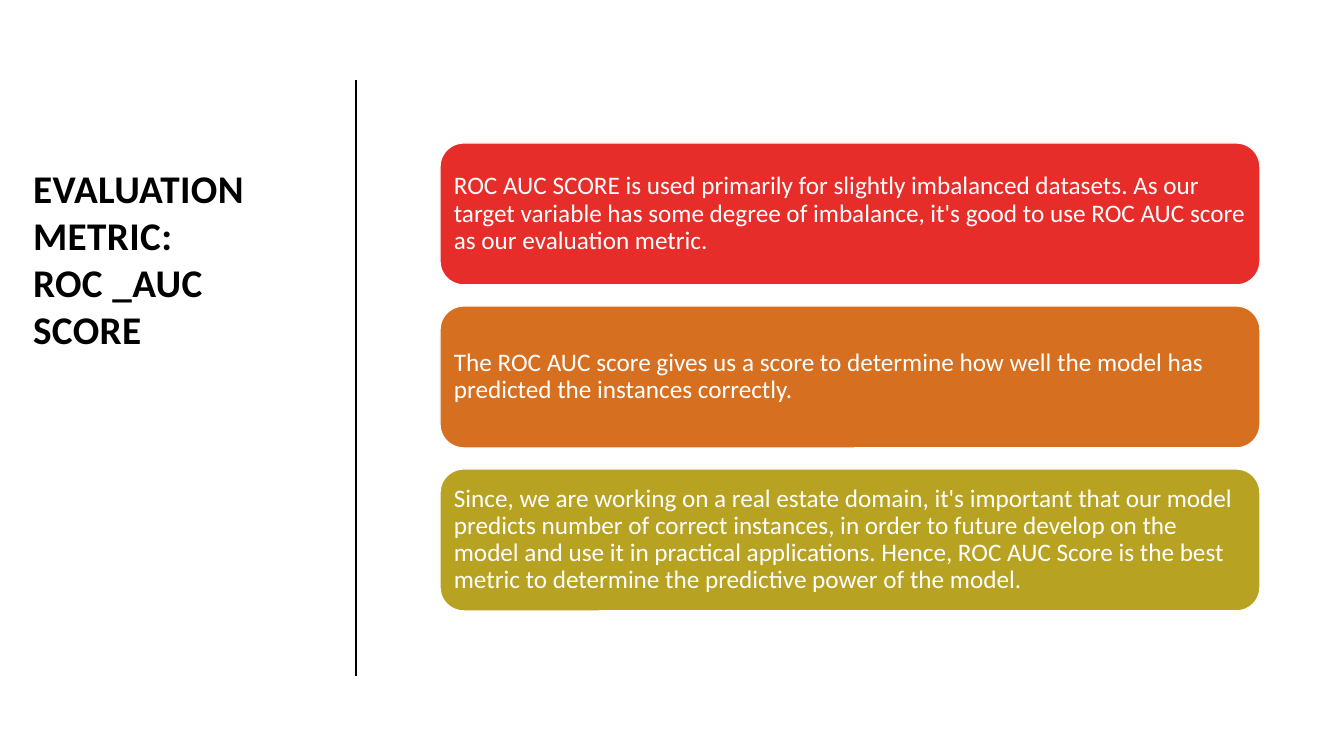
from lxml import etree
from pptx import Presentation
from pptx import util as u
from pptx.dml.color import RGBColor
from pptx.enum import shapes, text
from pptx.oxml.ns import qn

BLACK = RGBColor(0x00, 0x00, 0x00)
WHITE = RGBColor(0xFF, 0xFF, 0xFF)
RED = RGBColor(0xE7, 0x2D, 0x29)
ORANGE = RGBColor(0xD6, 0x6F, 0x1F)
OLIVE = RGBColor(0xB8, 0xA2, 0x21)

REASONS = [
    (RED, "ROC AUC SCORE is used primarily for slightly imbalanced datasets. "
          "As our target variable has some degree of imbalance, it's good to "
          "use ROC AUC score as our evaluation metric."),
    (ORANGE, "The ROC AUC score gives us a score to determine how well the "
             "model has predicted the instances correctly."),
    (OLIVE, "Since, we are working on a real estate domain, it's important "
            "that our model predicts number of correct instances, in order to "
            "future develop on the model and use it in practical applications. "
            "Hence, ROC AUC Score is the best metric to determine the "
            "predictive power of the model."),
]


def px(n):
    return u.Emu(round(n * u.Inches(1) / 100.8))


class Deck:
    """Draws styled elements on the current slide, with lengths in px."""

    font = "Calibri"

    def __init__(self, width, height):
        self.prs = Presentation()
        self.prs.slide_width, self.prs.slide_height = px(width), px(height)
        self.s = self.prs.slides.add_slide(self.prs.slide_layouts[5])

    def set_text(self, tf, words, size, color, anchor, bold=False):
        tf.word_wrap = True
        tf.auto_size = text.MSO_AUTO_SIZE.NONE
        tf.vertical_anchor = anchor
        tf.text = words
        p = tf.paragraphs[0]
        p.alignment = text.PP_ALIGN.LEFT
        p.font.name, p.font.size, p.font.bold = self.font, u.Pt(size), bold
        p.font.color.rgb = color
        return p

    def title(self, words, x, y, w, h):
        sp = self.s.shapes.title
        sp.left, sp.top, sp.width, sp.height = map(px, (x, y, w, h))
        p = self.set_text(sp.text_frame, words, 28, BLACK,
                          text.MSO_ANCHOR.TOP, bold=True)
        for r in p.runs:
            r.font._element.set("spc", "30")

    def line(self, x1, y1, x2, y2):
        cx = self.s.shapes.add_connector(
            shapes.MSO_CONNECTOR.STRAIGHT, *map(px, (x1, y1, x2, y2)))
        cx.line.color.rgb, cx.line.width = BLACK, u.Pt(1)
        etree.SubElement(cx._element.spPr, qn("a:effectLst"))

    def card(self, words, fill, x, y, w, h):
        sp = self.s.shapes.add_shape(
            shapes.MSO_SHAPE.ROUNDED_RECTANGLE, *map(px, (x, y, w, h)))
        sp.shadow.inherit = False
        sp.fill.solid()
        sp.fill.fore_color.rgb = fill
        sp.line.color.rgb, sp.line.width = WHITE, u.Pt(1)
        tf = sp.text_frame
        tf.margin_left = tf.margin_right = px(7)
        tf.margin_top = tf.margin_bottom = px(7)
        p = self.set_text(tf, words, 18, WHITE, text.MSO_ANCHOR.MIDDLE)
        p.line_spacing = 0.9


def main():
    deck = Deck(1344, 756)
    deck.title("EVALUATION METRIC: \vROC _AUC SCORE", 23, 159, 292, 402)
    deck.line(356, 676, 356, 80)
    for i, (fill, words) in enumerate(REASONS):
        deck.card(words, fill, 440, 143 + 163 * i, 820, 142)
    deck.prs.save("out.pptx")


if __name__ == "__main__":
    main()
